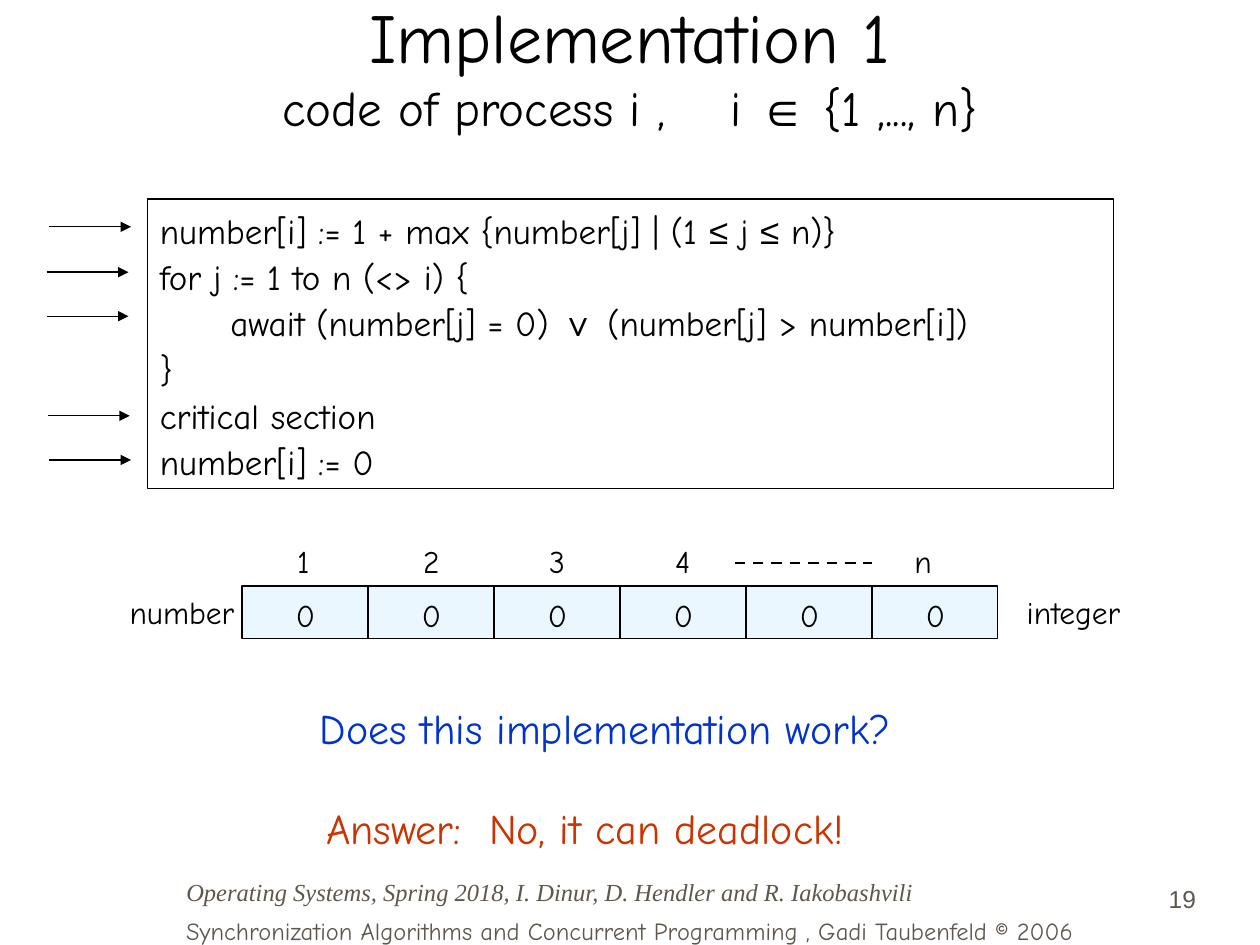
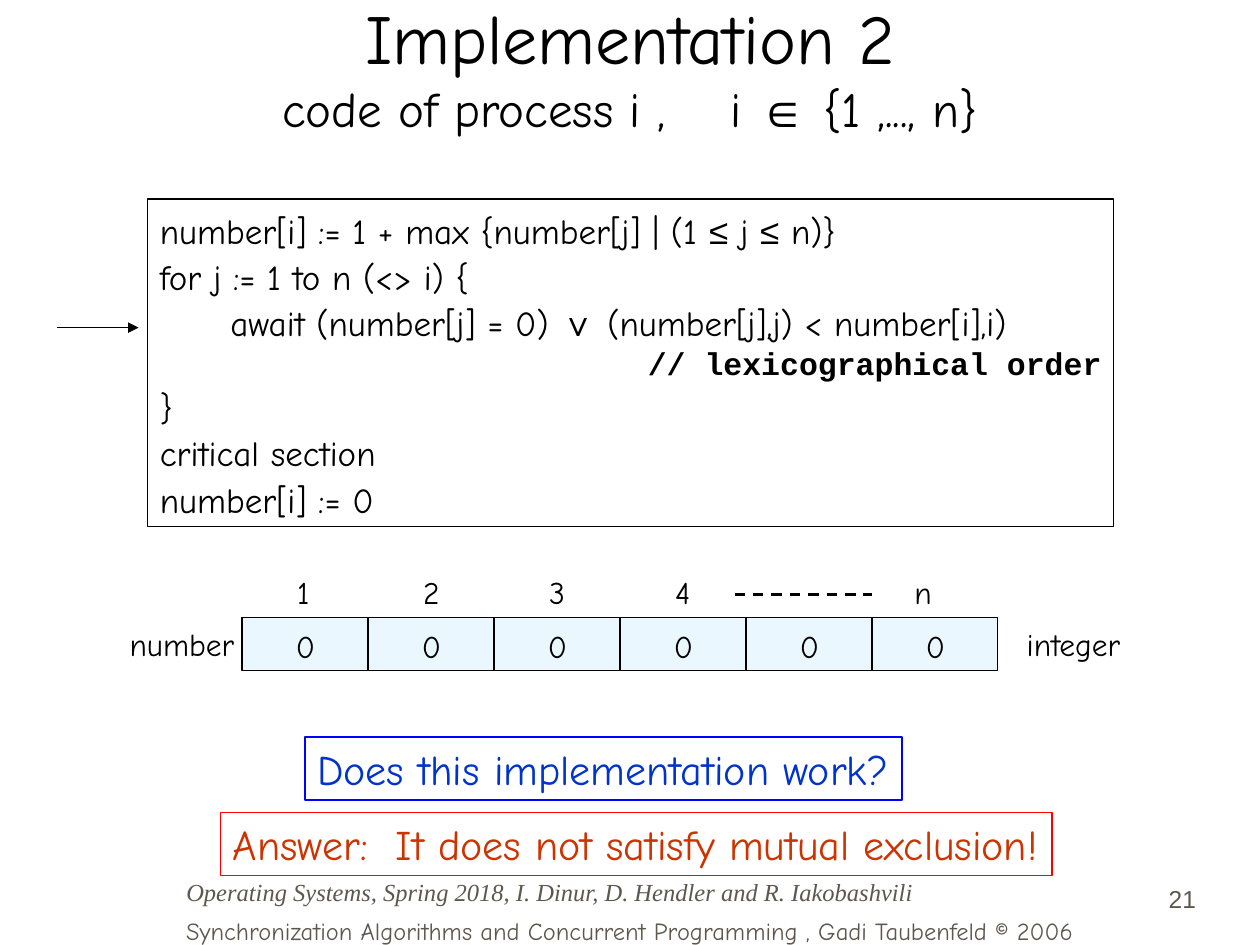
from itertools import groupby

from pptx import Presentation
from pptx.dml.color import RGBColor
from pptx.enum.dml import MSO_LINE
from pptx.enum.shapes import MSO_CONNECTOR, MSO_SHAPE
from pptx.enum.text import MSO_ANCHOR, MSO_AUTO_SIZE, PP_ALIGN
from pptx.oxml.ns import qn
from pptx.util import Inches, Pt
from lxml.etree import SubElement

BLACK, WHITE, GREY = "000000", "FFFFFF", "5E574E"
CELL_FILL, QUESTION, ANSWER = "EBF7FF", "0033CC", "CC3300"
BODY_FONT, SYMBOL_FONT = "Comic Neue", "Arial"
THIN = 0.74
SYMBOLS = "∈∨≤"
BOLD_SYMBOLS = "∈∨"
ARRAY_LEFT, CELL_WIDTH, CELL_HEIGHT, CELL_COUNT = 1.92, 1, 0.42, 6

ENTRY = "number[i] := 1 + max {number[j] | (1 ≤ j ≤ n)}"
LOOP = "for j := 1 to n (<> i) {"
EXIT = ["}", "critical section", "number[i] := 0"]


def rgb(colour):
    """Turn a hex string into a colour."""
    return RGBColor.from_string(colour)


def add_run(paragraph, text, size, colour=BLACK, font=BODY_FONT, bold=False, italic=False):
    """Add one formatted run and return it."""
    run = paragraph.add_run()
    run.text = text
    run.font.size, run.font.name = Pt(size), font
    run.font.bold, run.font.italic = bold, italic
    run.font.color.rgb = rgb(colour)
    return run


def add_formula(paragraph, text, size):
    """Add text whose mathematical symbols are set in the symbol font."""
    def style(char):
        return char in SYMBOLS, char in BOLD_SYMBOLS

    for (symbol, bold), chars in groupby(text, style):
        add_run(paragraph, "".join(chars), size, bold=bold,
                font=SYMBOL_FONT if symbol else BODY_FONT)


def add_text_box(slide, left, top, width, height, wrap=True, anchor=MSO_ANCHOR.TOP):
    """Add an empty text box and return its text frame."""
    box = slide.shapes.add_textbox(*map(Inches, (left, top, width, height)))
    frame = box.text_frame
    frame.word_wrap, frame.vertical_anchor = wrap, anchor
    return frame


def add_label(slide, text, left, top, width, height=0.4, size=18, colour=BLACK):
    """Add a one-line label that fits its text."""
    frame = add_text_box(slide, left, top, width, height, wrap=False)
    frame.auto_size = MSO_AUTO_SIZE.SHAPE_TO_FIT_TEXT
    add_run(frame.paragraphs[0], text, size, colour)


def add_box(slide, left, top, width, height, fill=None, line=None):
    """Add a plain rectangle and return its text frame."""
    box = slide.shapes.add_shape(MSO_SHAPE.RECTANGLE, *map(Inches, (left, top, width, height)))
    box.shadow.inherit = False
    if fill:
        box.fill.solid()
        box.fill.fore_color.rgb = rgb(fill)
    else:
        box.fill.background()
    if line:
        box.line.color.rgb = rgb(line)
        box.line.width = Pt(THIN)
    else:
        box.line.fill.background()
    frame = box.text_frame
    frame.vertical_anchor = MSO_ANCHOR.TOP
    frame.paragraphs[0].alignment = PP_ALIGN.LEFT
    return frame


def add_line(slide, x1, y1, x2, y2, width=THIN, dashed=False, arrow=False):
    """Add a straight line, dashed or ending in an arrowhead if asked."""
    line = slide.shapes.add_connector(MSO_CONNECTOR.STRAIGHT, *map(Inches, (x1, y1, x2, y2)))
    line.line.color.rgb = rgb(BLACK)
    line.line.width = Pt(width)
    if dashed:
        line.line.dash_style = MSO_LINE.DASH
    properties = line._element.spPr
    if arrow:
        SubElement(properties.find(qn("a:ln")), qn("a:tailEnd"), type="triangle")
    SubElement(properties, qn("a:effectLst"))


def add_title(slide, title, top):
    """Add the title with the process declaration below it."""
    frame = add_text_box(slide, 0.75, top, 8.5, 1.25, anchor=MSO_ANCHOR.MIDDLE)
    heading = frame.paragraphs[0]
    heading.alignment = PP_ALIGN.CENTER
    add_run(heading, title, 40)
    heading.add_line_break()
    add_run(heading, "code of process i ,", 28)
    gap = add_run(heading, " ", 28)
    gap.font._element.set("spc", "2800")
    add_formula(heading, "i ∈ {1 ,..., n}", 28)


def add_code(slide, condition, height, comment=None):
    """Add the framed algorithm, with a comment below its condition if given."""
    frame = add_box(slide, 1.17, 1.58, 7.67, height, line=BLACK)
    frame.word_wrap = True
    for index, code in enumerate([ENTRY, LOOP, condition, comment, *EXIT]):
        if code is None:
            continue
        row = frame.paragraphs[0] if index == 0 else frame.add_paragraph()
        if code == comment:
            row.alignment = PP_ALIGN.RIGHT
            add_run(row, code, 18, font="Courier New", bold=True)
            continue
        row.alignment, row.line_spacing = PP_ALIGN.LEFT, 1.1
        if code == condition:
            row._p.get_or_add_pPr().set("marL", str(Inches(0.56)))
        add_formula(row, code, 20)


def add_array(slide, top):
    """Add the number array with its indexes, cell values and labels."""
    index_top = top - 0.4
    for cell, index in enumerate("1234"):
        add_label(slide, index, 2.26 + cell * CELL_WIDTH, index_top, 0.32)
    add_label(slide, "n", 7.16, index_top, 0.34)
    add_line(slide, 5.83, top - 0.18, 6.92, top - 0.18, width=1.5, dashed=True)

    add_box(slide, ARRAY_LEFT, top, CELL_COUNT * CELL_WIDTH, CELL_HEIGHT, CELL_FILL, BLACK)
    for cell in range(CELL_COUNT):
        left = ARRAY_LEFT + cell * CELL_WIDTH
        if cell:
            add_line(slide, left, top, left, top + CELL_HEIGHT)
        add_label(slide, "0", left + 0.33, top + 0.03, 0.35)
    add_label(slide, "number", 0.93, top + 0.01, 1.03)
    add_label(slide, "integer", 8.05, top + 0.01, 0.95)


def add_framed_label(slide, text, left, top, width, colour, line):
    """Add a large one-line statement in a coloured frame."""
    frame = add_box(slide, left, top, width, 0.5, line=line)
    frame.word_wrap = False
    frame.auto_size = MSO_AUTO_SIZE.SHAPE_TO_FIT_TEXT
    add_run(frame.paragraphs[0], text, 24, colour)


def add_step_arrows(slide, starts):
    """Add an arrow to the code from each starting point."""
    for left, top in starts:
        add_line(slide, left, top, left + 0.65, top, arrow=True)


def add_footers(slide, number):
    """Add the course line, the slide number and the book credit."""
    course = add_text_box(slide, 1.38, 6.9, 6.38, 0.34, anchor=MSO_ANCHOR.BOTTOM).paragraphs[0]
    add_run(course, "Operating Systems, Spring 2018, I. Dinur, D. Hendler and R. Iakobashvili",
            14, GREY, "Times New Roman", italic=True)
    page = add_text_box(slide, 8.44, 6.8, 1.15, 0.5, anchor=MSO_ANCHOR.BOTTOM).paragraphs[0]
    page.alignment = PP_ALIGN.RIGHT
    add_run(page, number, 14, GREY, "Arial")
    band = add_box(slide, 0, 7.22, 10, 0.34, fill=WHITE)
    band.word_wrap = True
    book = band.paragraphs[0]
    book.alignment = PP_ALIGN.CENTER
    add_run(book, "Synchronization Algorithms and Concurrent Programming , Gadi Taubenfeld © 2006",
            14, GREY)
    for footer in (course, page, book):
        footer.space_before = Pt(8.8)


def add_first_implementation(slide):
    """Build the slide on the version that can deadlock."""
    add_title(slide, "Implementation 1", -0.11)
    add_code(slide, "await (number[j] = 0) ∨ (number[j] > number[i])", 2.3)
    add_array(slide, 4.65)
    add_step_arrows(slide, [(0.39, 1.8), (0.37, 2.16), (0.37, 2.51), (0.38, 3.3), (0.39, 3.65)])
    add_label(slide, "Does this implementation work?", 2.44, 5.53, 4.74, 0.5, 24, QUESTION)
    add_label(slide, "Answer:  No, it can deadlock!", 2.49, 6.32, 4.31, 0.5, 24, ANSWER)
    add_footers(slide, "19")


def add_second_implementation(slide):
    """Build the slide on the version without mutual exclusion."""
    add_title(slide, "Implementation 2", -0.1)
    add_code(slide, "await (number[j] = 0) ∨ (number[j],j) < number[i],i)", 2.6,
             "// lexicographical order")
    add_array(slide, 4.9)
    add_step_arrows(slide, [(0.45, 2.6)])
    add_framed_label(slide, "Does this implementation work?", 2.42, 5.85, 4.74,
                     QUESTION, "0000FF")
    add_framed_label(slide, "Answer:  It does not satisfy mutual exclusion!", 1.75, 6.45, 6.6,
                     ANSWER, "FF0000")
    add_footers(slide, "21")


def main():
    """Build and save the presentation."""
    deck = Presentation()
    deck.slide_width, deck.slide_height = Inches(10), Inches(7.5)
    blank = deck.slide_layouts[6]
    for build in (add_first_implementation, add_second_implementation):
        build(deck.slides.add_slide(blank))
    deck.save("out.pptx")


main()
